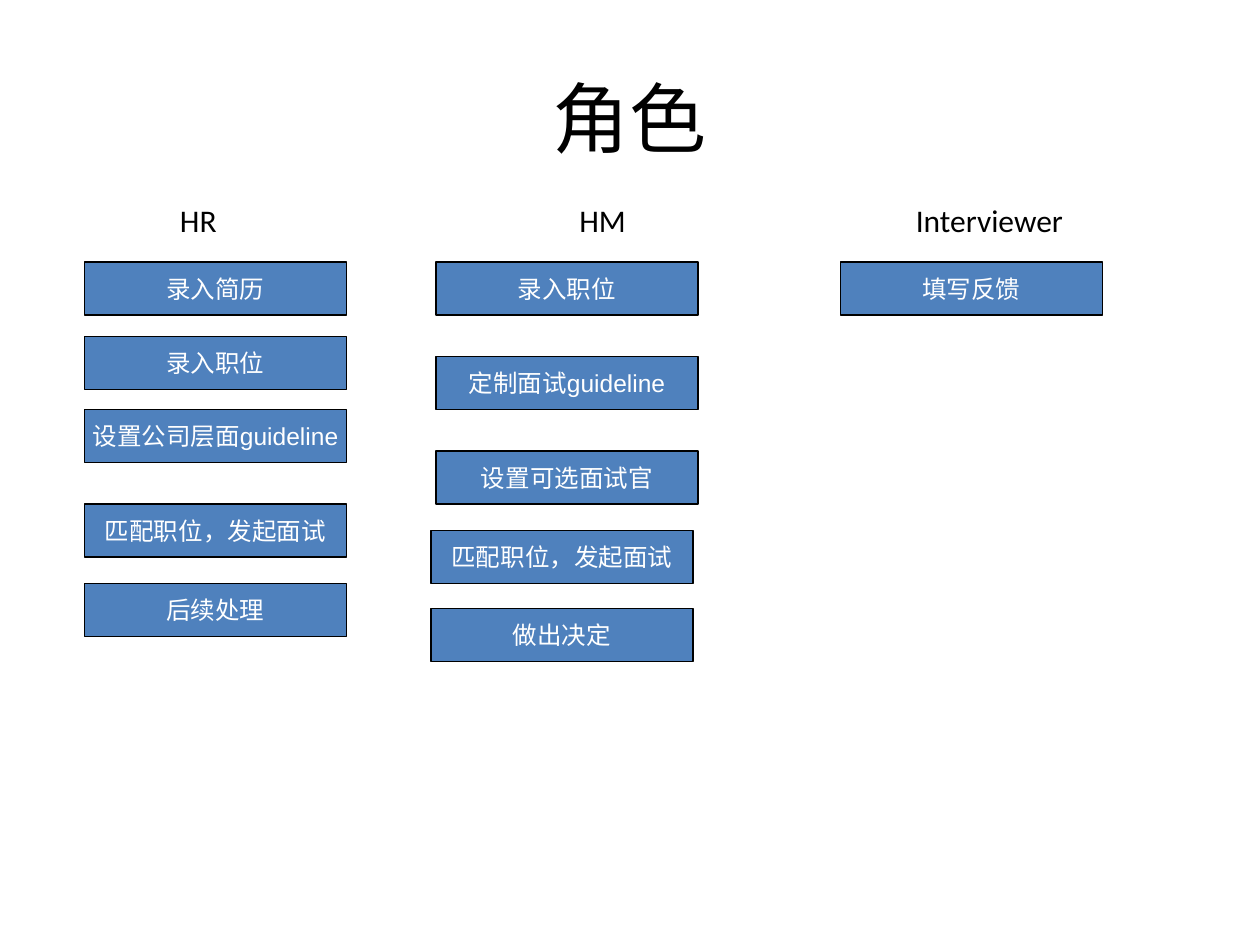
from dataclasses import dataclass

from pptx import Presentation
from pptx.dml.color import RGBColor
from pptx.enum.shapes import MSO_SHAPE
from pptx.enum.text import MSO_ANCHOR, MSO_AUTO_SIZE, PP_ALIGN
from pptx.util import Inches, Pt

RECTANGLE = MSO_SHAPE.RECTANGLE
MIDDLE = MSO_ANCHOR.MIDDLE
LEFT, CENTER = PP_ALIGN.LEFT, PP_ALIGN.CENTER
FIT_SHAPE = MSO_AUTO_SIZE.SHAPE_TO_FIT_TEXT
TITLE_ONLY = 5


@dataclass(frozen=True)
class Theme:
    ink: RGBColor = RGBColor(0x00, 0x00, 0x00)
    task_fill: RGBColor = RGBColor(0x4F, 0x81, 0xBD)
    task_text: RGBColor = RGBColor(0xFF, 0xFF, 0xFF)
    heading_font: str = "Calibri"
    task_font: str = "Arial"
    title_size: Pt = Pt(44)
    role_size: Pt = Pt(18)
    task_size: Pt = Pt(14)
    outline: Pt = Pt(0.75)


THEME = Theme()
ROLE_TOP, ROLE_HEIGHT = 1.55, 0.4
TASK_WIDTH, TASK_HEIGHT = 2.08, 0.42

# Each role: name, heading left and width, then tasks as (left, top, wording).
ROLES = [
    ("HR", 1.33, 1, [
        (0.67, 2.08, "录入简历"),
        (0.67, 2.67, "录入职位"),
        (0.67, 3.25, "设置公司层面guideline"),
        (0.67, 4, "匹配职位，发起面试"),
        (0.67, 4.63, "后续处理"),
    ]),
    ("HM", 4.5, 1, [
        (3.46, 2.08, "录入职位"),
        (3.46, 2.83, "定制面试guideline"),
        (3.46, 3.58, "设置可选面试官"),
        (3.42, 4.21, "匹配职位，发起面试"),
        (3.42, 4.83, "做出决定"),
    ]),
    ("Interviewer", 7.17, 1.58, [(6.67, 2.08, "填写反馈")]),
]


def write(frame, wording, font, size, color, align, **frame_format):
    for attribute, value in frame_format.items():
        setattr(frame, attribute, value)
    paragraph = frame.paragraphs[0]
    paragraph.alignment = align
    run = paragraph.add_run()
    run.text = wording
    for attribute, value in {"name": font, "size": size}.items():
        setattr(run.font, attribute, value)
    run.font.color.rgb = color


def add_title(slide, box, wording):
    title = slide.shapes.title
    for attribute, value in zip(("left", "top", "width", "height"), box):
        setattr(title, attribute, Inches(value))
    write(title.text_frame, wording, THEME.heading_font, THEME.title_size,
          THEME.ink, CENTER, vertical_anchor=MIDDLE)


def add_role_heading(slide, box, wording):
    heading = slide.shapes.add_textbox(*map(Inches, box))
    write(heading.text_frame, wording, THEME.heading_font, THEME.role_size,
          THEME.ink, LEFT, word_wrap=True, auto_size=FIT_SHAPE)


def add_task(slide, box, wording):
    task = slide.shapes.add_shape(RECTANGLE, *map(Inches, box))
    task.shadow.inherit = False
    task.fill.solid()
    task.fill.fore_color.rgb = THEME.task_fill
    task.line.color.rgb = THEME.ink
    task.line.width = THEME.outline
    write(task.text_frame, wording, THEME.task_font, THEME.task_size,
          THEME.task_text, CENTER, word_wrap=False, vertical_anchor=MIDDLE)


def main():
    deck = Presentation()
    deck.slide_width, deck.slide_height = Inches(10), Inches(7.5)
    slide = deck.slides.add_slide(deck.slide_layouts[TITLE_ONLY])
    add_title(slide, (0.5, 0.3, 9, 1.25), "角色")
    for role, heading_left, heading_width, tasks in ROLES:
        add_role_heading(
            slide, (heading_left, ROLE_TOP, heading_width, ROLE_HEIGHT), role)
        for left, top, wording in tasks:
            add_task(slide, (left, top, TASK_WIDTH, TASK_HEIGHT), wording)
    deck.save("out.pptx")


if __name__ == "__main__":
    main()
